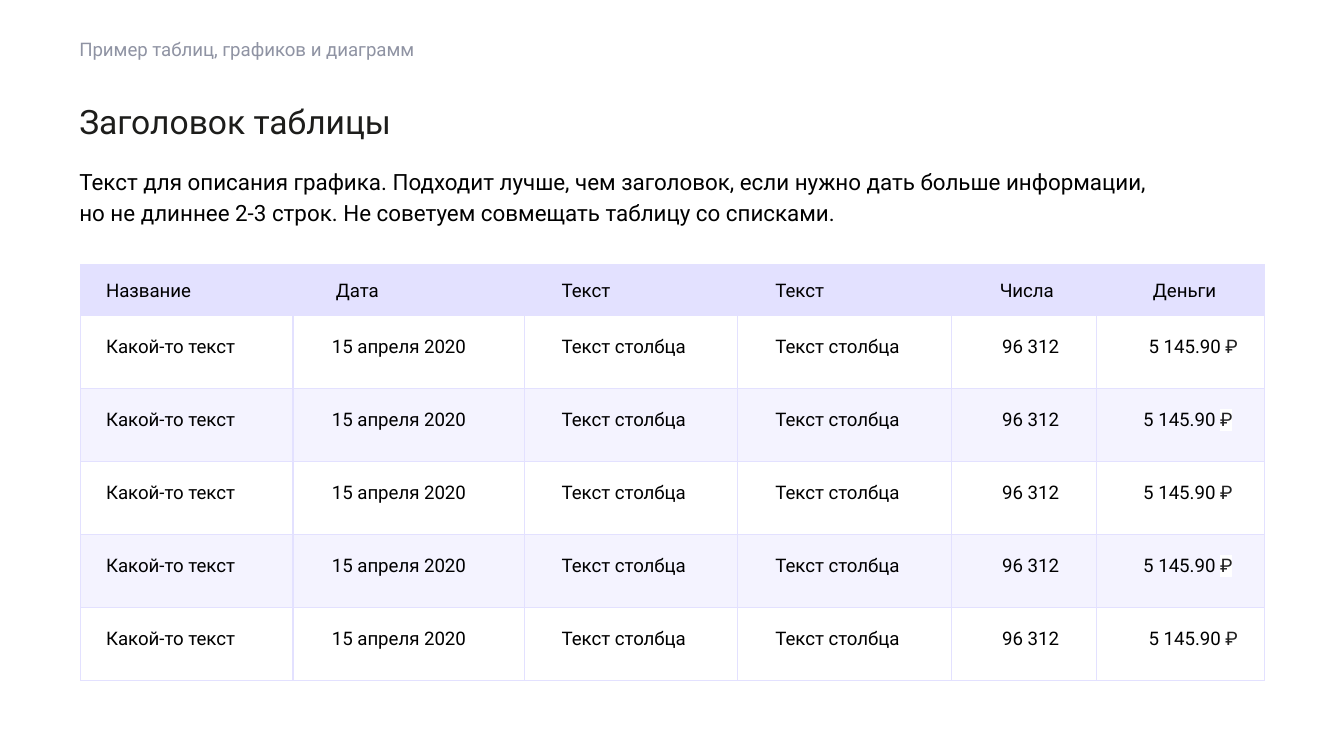
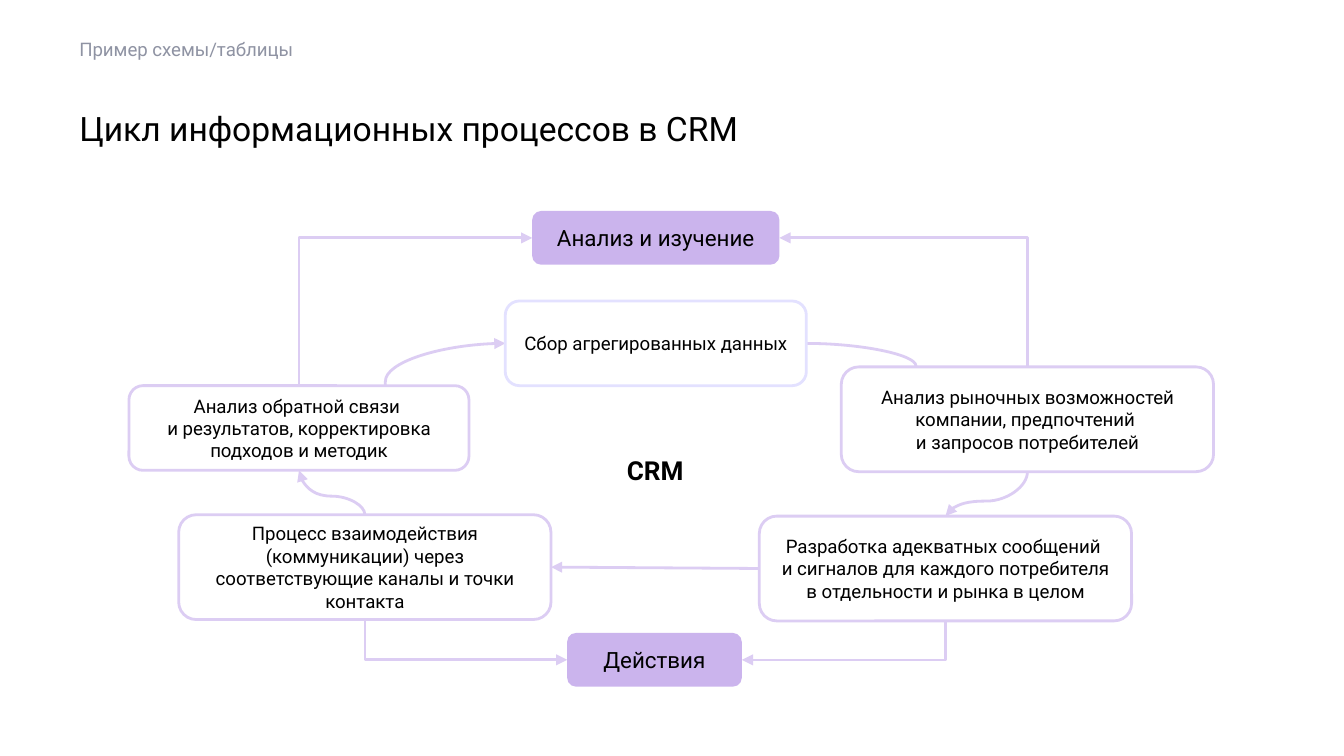
from lxml import etree
from pptx import Presentation
from pptx.dml.color import RGBColor
from pptx.enum.shapes import MSO_CONNECTOR, MSO_SHAPE
from pptx.enum.text import MSO_ANCHOR, MSO_AUTO_SIZE, PP_ALIGN
from pptx.oxml.ns import qn
from pptx.util import Inches, Pt

LEFT, CENTER, RIGHT = PP_ALIGN.LEFT, PP_ALIGN.CENTER, PP_ALIGN.RIGHT
TOP, MIDDLE = MSO_ANCHOR.TOP, MSO_ANCHOR.MIDDLE
ROUND = MSO_SHAPE.ROUNDED_RECTANGLE
STRAIGHT, ELBOW, CURVE = MSO_CONNECTOR.STRAIGHT, MSO_CONNECTOR.ELBOW, MSO_CONNECTOR.CURVE

FONT = "Roboto"
COLORS = {
    "black": "000000", "title": "1D1D1B", "ruble": "222222", "muted": "8F93A3",
    "white": "FFFFFF", "pale": "E3E1FF", "lilac": "DCCDF3", "violet": "CBB4ED",
}

# Square grid: 100 columns across, 56.25 rows down
WIDTH, HEIGHT = Inches(10), Inches(5.625)
CELL = WIDTH // 100
MARGIN = 5.9


def grid(*values):
    return [round(v * CELL) for v in values]


def rgb(name):
    return RGBColor.from_string(COLORS[name])


def child(parent, tag, **attrs):
    return etree.SubElement(parent, qn(tag), attrs)


# Text
def add_run(p, text, size=10, color="black", bold=False, highlight=None):
    r = p.add_run()
    r.text = text
    r.font.name, r.font.size, r.font.bold = FONT, Pt(size), bold
    r.font.color.rgb = rgb(color)
    if highlight:
        mark = etree.Element(qn("a:highlight"))
        child(mark, "a:srgbClr", val=COLORS[highlight])
        r.font.fill._xPr.find(qn("a:solidFill")).addnext(mark)


def write(tf, text, align=LEFT, anchor=TOP, insets=(0, 0, 0, 0), spacing=None, **font):
    """Fill a text frame; insets are left, top, right, bottom in grid cells."""
    tf.word_wrap = True
    tf.auto_size = MSO_AUTO_SIZE.NONE
    tf.vertical_anchor = anchor
    tf.margin_left, tf.margin_top, tf.margin_right, tf.margin_bottom = grid(*insets)
    p = tf.paragraphs[0]
    p.alignment = align
    if spacing:
        p.line_spacing = spacing
    for i, line in enumerate(text.split("\n")):
        if i:
            p.add_line_break()
        add_run(p, line, **font)


def add_text(slide, box, text, **kwargs):
    write(slide.shapes.add_textbox(*grid(*box)).text_frame, text, **kwargs)


def add_slide(prs, kicker, title, **title_format):
    slide = prs.slides.add_slide(prs.slide_layouts[5])
    sp = slide.shapes.title
    sp.left, sp.top, sp.width, sp.height = grid(MARGIN, 7.9, 84.8, 5.1)
    write(sp.text_frame, title, size=18, insets=(0, 0.1, 0, 0), **title_format)
    add_text(slide, (MARGIN, 1.7, 88.2, 3.9), kicker, color="muted",
             anchor=MIDDLE, insets=(0, 0.4, 0, 0.4))
    return slide


# Table
def style_cell(cell, fill=None, alpha=None):
    if fill:
        cell.fill.solid()
        cell.fill.fore_color.rgb = rgb(fill)
    else:
        cell.fill.background()
    tc_pr = cell._tc.get_or_add_tcPr()
    if alpha:
        child(tc_pr.find(".//" + qn("a:srgbClr")), "a:alpha", val=str(alpha * 1000))
    for i, side in enumerate("LRTB"):
        ln = etree.Element(qn(f"a:ln{side}"), w=str(Pt(0.75)))
        child(child(ln, "a:solidFill"), "a:srgbClr", val=COLORS["pale"])
        tc_pr.insert(i, ln)


def fill_cell(cell, text, left=0, right=0, top=0.0, **kwargs):
    tf = cell.text_frame
    cell.margin_left, cell.margin_top, cell.margin_right, cell.margin_bottom = grid(left, top, right, 0)
    p = tf.paragraphs[0]
    p.alignment = RIGHT if right else LEFT
    add_run(p, text, **kwargs)
    return p


def add_price_table(slide):
    widths = (15.8, 17.2, 15.9, 15.9, 10.8, 12.5)
    heads = ("Название", "Дата", "Текст", "Текст", "Числа", "Деньги")
    head_indents = (1.9, 3.2, 2.8, 2.8, 3.6, 4.2)
    texts = ("Какой-то текст", "15 апреля 2020", "Текст столбца", "Текст столбца")
    indents = (1.9, 2.9, 2.8, 2.8)
    money_ends = (2, 2.4, 2.4, 2.4, 2)
    head_height, row_height, text_top = 3.8, 5.43, 1.5

    count = len(money_ends)
    table = slide.shapes.add_table(
        count + 1, len(widths),
        *grid(6, 19.7, sum(widths), head_height + count * row_height)).table
    table.first_row = table.horz_banding = False
    for column, width in zip(table.columns, widths):
        column.width = grid(width)[0]
    for i, row in enumerate(table.rows):
        row.height = grid(row_height if i else head_height)[0]

    for j, (head, indent) in enumerate(zip(heads, head_indents)):
        cell = table.cell(0, j)
        style_cell(cell, "pale")
        cell.vertical_anchor = MIDDLE
        fill_cell(cell, head, left=indent, top=0.2)

    for i, money_end in enumerate(money_ends, 1):
        cells = [table.cell(i, j) for j in range(len(widths))]
        for cell in cells:
            style_cell(cell, *(() if i % 2 else ("pale", 38)))
        for cell, text, indent in zip(cells, texts, indents):
            fill_cell(cell, text, left=indent, top=text_top)
        fill_cell(cells[4], "96 312", right=2.8, top=text_top)
        p = fill_cell(cells[5], "5 145.90 ", right=money_end, top=text_top)
        add_run(p, "₽", color="ruble", highlight=None if i == 3 else "white")


# Diagram
def add_box(slide, box, text, fill="white", line=None, **font):
    sp = slide.shapes.add_shape(ROUND, *grid(*box))
    sp.shadow.inherit = False
    sp.fill.solid()
    sp.fill.fore_color.rgb = rgb(fill)
    if line:
        sp.line.color.rgb = rgb(line)
        sp.line.width = Pt(1.5)
    else:
        sp.line.fill.background()
    write(sp.text_frame, text, align=CENTER, anchor=MIDDLE, insets=(1, 1, 1, 1), **font)
    return sp


def side(box, index):
    """Middle of a side: 0 top, 1 left, 2 bottom, 3 right."""
    x, y, w, h = box
    return ((x + w / 2, y), (x, y + h / 2), (x + w / 2, y + h), (x + w, y + h / 2))[index]


def add_arrow(slide, kind, start, end):
    sp = slide.shapes.add_connector(kind, *grid(*start, *end))
    sp.line.color.rgb = rgb("lilac")
    sp.line.width = Pt(1.5)
    child(sp.line._get_or_add_ln(), "a:tailEnd", type="triangle")
    child(sp._element.spPr, "a:effectLst")
    return sp


def bend(sp, value):
    av = sp._element.spPr.find(".//" + qn("a:avLst"))
    child(av, "a:gd", name="adj1", fmla=f"val {value * 1000}")


def add_upright_arrow(slide, kind, start, end):
    """Arrow that leaves its start vertically: a level one, turned a quarter."""
    (x1, y1), (x2, y2) = start, end
    dx, dy = x2 - x1, y2 - y1
    cx, cy = (x1 + x2) / 2, (y1 + y2) / 2
    w, h = abs(dy) / 2, abs(dx) / 2
    sp = add_arrow(slide, kind, (cx - w, cy - h), (cx + w, cy + h))
    xfrm = sp._element.spPr.find(qn("a:xfrm"))
    xfrm.set("rot", str((90 if dx < 0 else 270) * 60000))
    if (dx < 0) == (dy < 0):
        xfrm.set("flipH", "1")
    if kind == ELBOW:
        sp._element.spPr.find(qn("a:prstGeom")).set("prst", "bentConnector2")
    return sp


def add_crm_cycle(slide):
    study = (39.6, 15.7, 18.4, 4)
    data = (37.6, 22.4, 22.4, 6.3)
    feedback = (9.6, 28.7, 25.3, 6.3)
    market = (62.6, 27.3, 27.7, 7.8)
    messages = (56.5, 38.4, 27.7, 7.8)
    process = (13.3, 38.3, 27.7, 7.8)
    actions = (42.2, 47.1, 13, 4)

    # Arrows behind the boxes
    bend(add_arrow(slide, CURVE, side(data, 3), (70.4, 28.9)), 78.4)
    bend(add_arrow(slide, CURVE, (26.7, 31.2), side(data, 1)), 18.1)
    for start, end in ((side(feedback, 0), side(study, 1)), (side(market, 0), side(study, 3)),
                       (side(process, 2), side(actions, 1)), (side(messages, 2), side(actions, 3))):
        add_upright_arrow(slide, ELBOW, start, end)

    # Boxes
    add_box(slide, study, "Анализ и изучение", fill="violet", size=12)
    add_box(slide, data, "Сбор агрегированных данных", line="pale")
    add_box(slide, feedback, "Анализ обратной связи \nи результатов, корректировка подходов и методик",
            line="lilac")
    add_box(slide, market, "Анализ рыночных возможностей компании, предпочтений \nи запросов потребителей",
            line="lilac")
    messages_sp = add_box(
        slide, messages,
        "Разработка адекватных сообщений \nи сигналов для каждого потребителя в отдельности и рынка в целом",
        line="lilac")
    process_sp = add_box(
        slide, process,
        "Процесс взаимодействия (коммуникации) через соответствующие каналы и точки контакта",
        line="lilac")
    add_box(slide, actions, "Действия", fill="violet", size=12)
    add_box(slide, (43.5, 32.6, 10.5, 4.8), "CRM", size=14, bold=True)

    # Arrows between the boxes
    bend(add_upright_arrow(slide, CURVE, side(market, 2), side(messages, 0)), 66.4)
    bend(add_upright_arrow(slide, CURVE, side(process, 0), side(feedback, 2)), 41.9)
    sp = add_arrow(slide, STRAIGHT, side(messages, 1), side(process, 3))
    sp.begin_connect(messages_sp, 1)
    sp.end_connect(process_sp, 3)


def main():
    prs = Presentation()
    prs.slide_width, prs.slide_height = WIDTH, HEIGHT

    slide = add_slide(prs, "Пример таблиц, графиков и диаграмм", "Заголовок таблицы",
                      color="title", spacing=0.85)
    add_text(slide, (MARGIN, 11.8, 85.8, 4.6),
             "Текст для описания графика. Подходит лучше, чем заголовок, если нужно дать больше информации, \n"
             "но не длиннее 2-3 строк. Не советуем совмещать таблицу со списками.",
             size=12, spacing=1.15, insets=(0, 0.4, 0, 0))
    add_price_table(slide)

    slide = add_slide(prs, "Пример схемы/таблицы", "Цикл информационных процессов в CRM")
    add_crm_cycle(slide)

    prs.save("out.pptx")


if __name__ == "__main__":
    main()
